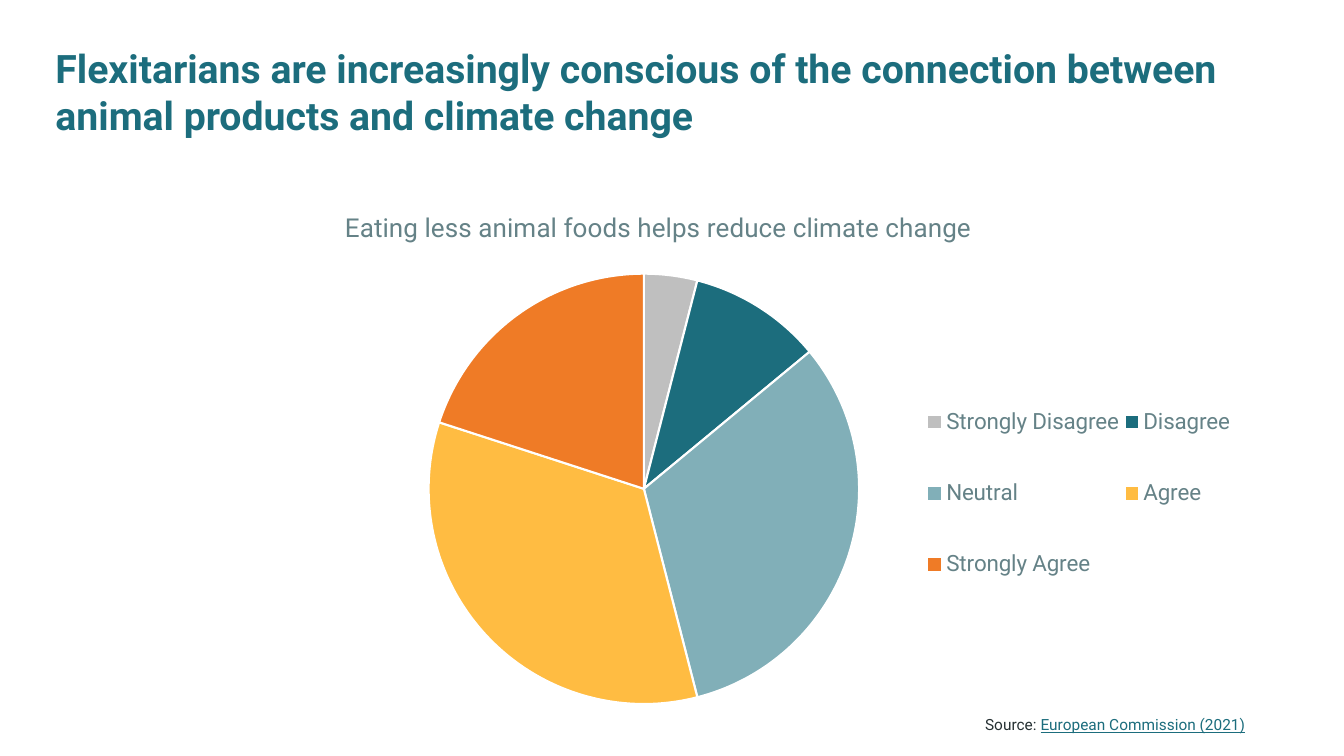
from lxml import etree
from pptx import Presentation
from pptx.chart.data import CategoryChartData
from pptx.dml.color import RGBColor
from pptx.enum.chart import XL_CHART_TYPE, XL_LEGEND_POSITION
from pptx.enum.text import MSO_ANCHOR, PP_ALIGN
from pptx.oxml.ns import qn
from pptx.util import Inches, Pt

PIE = XL_CHART_TYPE.PIE
LEGEND_BOTTOM = XL_LEGEND_POSITION.BOTTOM
TOP = MSO_ANCHOR.TOP
RIGHT = PP_ALIGN.RIGHT

FONT = "Roboto"
TEAL, GREY, DARK, WHITE = "1C6D7D", "658287", "263133", "FFFFFF"

HEADLINE = ("Flexitarians are increasingly conscious of the connection between "
            "animal products and climate change")
CHART_TITLE = "Eating less animal foods helps reduce climate change"
ANSWERS = [
    ("Strongly Disagree", 4, "BFBFBF"),
    ("Disagree", 10, TEAL),
    ("Neutral", 32, "81AFB8"),
    ("Agree", 34, "FFBC42"),
    ("Strongly Agree", 20, "EF7B26"),
]


def color(value):
    return RGBColor.from_string(value)


def style_font(font, size, hex_color, bold=False, underline=False):
    font.name = FONT
    font.size = Pt(size)
    font.bold = bold
    font.underline = underline
    font.color.rgb = color(hex_color)


def add_run(paragraph, text, *style, **options):
    run = paragraph.add_run()
    run.text = text
    style_font(run.font, *style, **options)


def add_text_frame(slide, box):
    frame = slide.shapes.add_textbox(*map(Inches, box)).text_frame
    frame.word_wrap = True
    frame.vertical_anchor = TOP
    return frame


def set_layout(parent, previous, **settings):
    """Place a chart part by fractions of the chart, after the given child."""
    for old in parent.findall(qn("c:layout")):
        parent.remove(old)
    layout = etree.Element(qn("c:layout"))
    manual = etree.SubElement(layout, qn("c:manualLayout"))
    for name, value in settings.items():
        etree.SubElement(manual, qn("c:" + name)).set("val", str(value))
    if previous is None:
        parent.insert(0, layout)
    else:
        previous.addnext(layout)


def add_headline(slide, box):
    frame = add_text_frame(slide, box)
    frame.margin_left = frame.margin_right = 0
    frame.margin_top = frame.margin_bottom = 0
    add_run(frame.paragraphs[0], HEADLINE, 28, TEAL, bold=True)


def add_opinion_chart(slide, box):
    data = CategoryChartData()
    data.categories = [answer for answer, _, _ in ANSWERS]
    data.add_series(CHART_TITLE, [share for _, share, _ in ANSWERS])
    chart = slide.shapes.add_chart(PIE, *map(Inches, box), data).chart
    style_font(chart.font, 10, DARK)

    # Slices
    plot = chart.plots[0]
    plot.vary_by_categories = True
    for index, (_, _, fill) in enumerate(ANSWERS):
        slice_format = plot.series[0].points[index].format
        slice_format.fill.solid()
        slice_format.fill.fore_color.rgb = color(fill)
        slice_format.line.color.rgb = color(WHITE)
        slice_format.line.width = Pt(1.5)

    # Title and legend
    chart.has_title = True
    title = chart.chart_title
    title.include_in_layout = False
    add_run(title.text_frame.paragraphs[0], CHART_TITLE, 18.6, GREY)
    chart.has_legend = True
    legend = chart.legend
    legend.position = LEGEND_BOTTOM
    legend.include_in_layout = False
    style_font(legend.font, 16, GREY)

    # Positions inside the chart
    title_element = title._element
    set_layout(title_element, title_element.find(qn("c:tx")),
               xMode="edge", yMode="edge", x=0.23, y=0.04)
    legend_element = legend._element
    set_layout(legend_element, legend_element.find(qn("c:legendPos")),
               xMode="edge", yMode="edge", x=0.73, y=0.32, w=0.27, h=0.46)
    set_layout(plot._element.getparent(), None, layoutTarget="inner",
               xMode="edge", yMode="edge", x=0.306, y=0.161, w=0.37, h=0.762)


def add_source(slide, box):
    paragraph = add_text_frame(slide, box).paragraphs[0]
    paragraph.alignment = RIGHT
    paragraph.line_spacing = 1.2
    paragraph.space_after = Pt(10)
    add_run(paragraph, "Source: ", 11, DARK)
    add_run(paragraph, "European Commission (2021)", 11, TEAL, underline=True)


def main():
    presentation = Presentation()
    presentation.slide_width = Inches(13.33)
    presentation.slide_height = Inches(7.5)
    slide = presentation.slides.add_slide(presentation.slide_layouts[6])
    add_headline(slide, (0.55, 0.44, 12.12, 0.54))
    add_opinion_chart(slide, (0.72, 1.81, 11.54, 5.61))
    add_source(slide, (8.14, 7.01, 4.31, 0.38))
    presentation.save("out.pptx")


if __name__ == "__main__":
    main()
